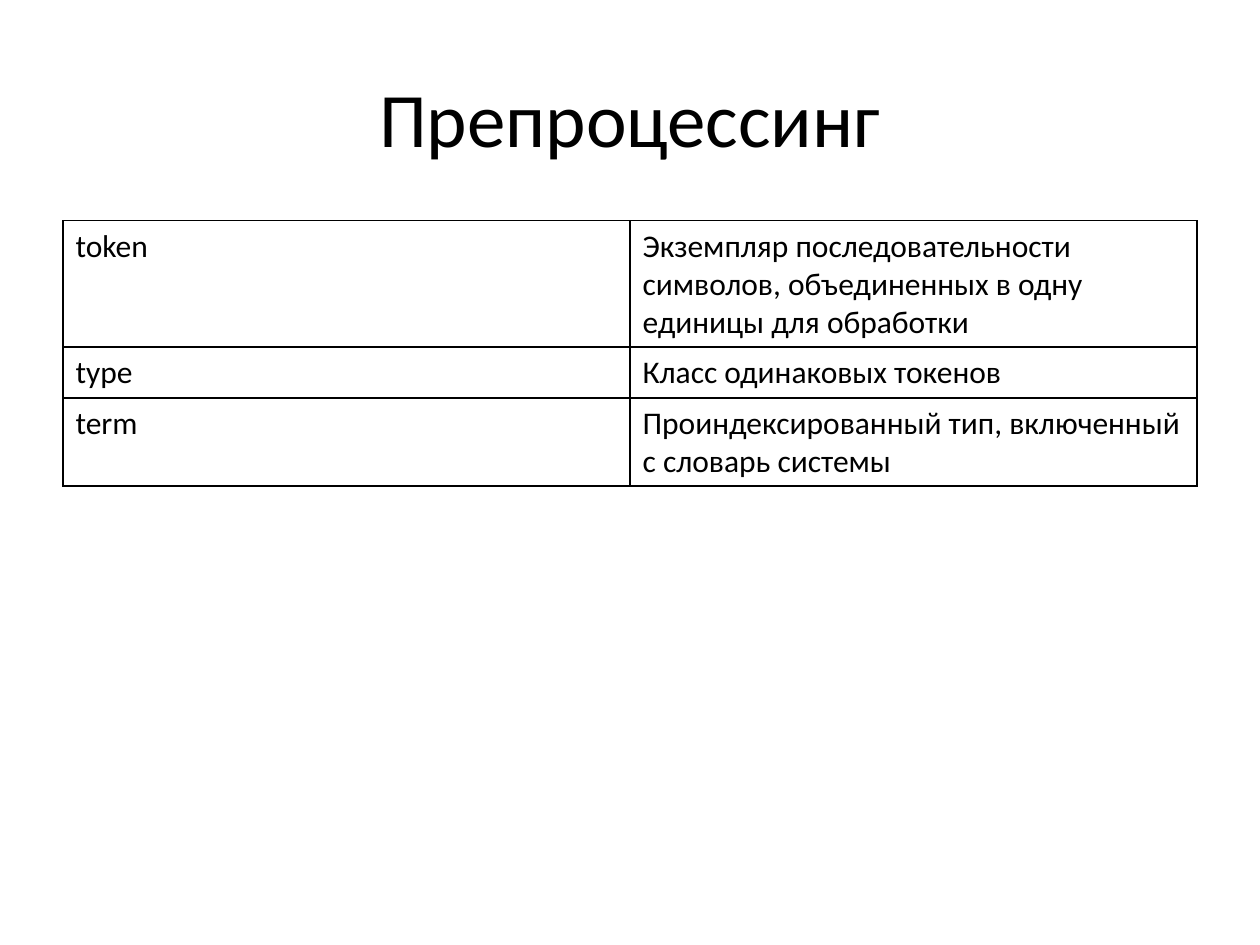
from dataclasses import dataclass

from lxml import etree
from pptx import Presentation
from pptx.dml.color import RGBColor
from pptx.enum import text
from pptx.oxml import ns
from pptx.util import Cm, Pt

HEADING = "Препроцессинг"
TERMS = [
    ("token", "Экземпляр последовательности символов, объединенных в одну единицы для обработки"),
    ("type", "Класс одинаковых токенов"),
    ("term", "Проиндексированный тип, включенный с словарь системы"),
]


@dataclass(frozen=True)
class Theme:
    font: str = "Calibri"
    ink: str = "000000"
    heading_size: int = 44
    body_size: int = 18
    border: int = 1


THEME = Theme()
WIDTH, HEIGHT = Cm(25.4), Cm(19.05)
MARGIN = Cm(1.27)
CONTENT_WIDTH = WIDTH - 2 * MARGIN
HEADING_TOP, HEADING_HEIGHT = Cm(0.76), Cm(3.18)
TABLE_TOP, ROW_HEIGHT = Cm(4.45), Cm(1.03)


def write(frame, wording, size):
    frame.word_wrap = True
    paragraph = frame.paragraphs[0]
    run = paragraph.add_run()
    run.text = wording
    for name, value in {"name": THEME.font, "size": Pt(size)}.items():
        setattr(run.font, name, value)
    run.font.color.rgb = RGBColor.from_string(THEME.ink)
    return paragraph


def outline(cell):
    properties = cell._tc.get_or_add_tcPr()
    for position, side in enumerate(("lnL", "lnR", "lnT", "lnB")):
        line = etree.Element(ns.qn(f"a:{side}"), w=str(Pt(THEME.border)))
        fill = etree.SubElement(line, ns.qn("a:solidFill"))
        etree.SubElement(fill, ns.qn("a:srgbClr"), val=THEME.ink)
        properties.insert(position, line)


def add_heading(slide):
    heading = slide.shapes.add_textbox(MARGIN, HEADING_TOP, CONTENT_WIDTH, HEADING_HEIGHT)
    heading.text_frame.vertical_anchor = text.MSO_ANCHOR.MIDDLE
    write(heading.text_frame, HEADING, THEME.heading_size).alignment = text.PP_ALIGN.CENTER


def add_glossary(slide):
    glossary = slide.shapes.add_table(
        len(TERMS), len(TERMS[0]), MARGIN, TABLE_TOP, CONTENT_WIDTH, ROW_HEIGHT * len(TERMS)
    ).table
    for name, value in {"first_row": False, "horz_banding": False}.items():
        setattr(glossary, name, value)
    for row, entry in enumerate(TERMS):
        for column, wording in enumerate(entry):
            cell = glossary.cell(row, column)
            cell.fill.background()
            outline(cell)
            write(cell.text_frame, wording, THEME.body_size)


def main():
    deck = Presentation()
    deck.slide_width, deck.slide_height = WIDTH, HEIGHT
    slide = deck.slides.add_slide(deck.slide_layouts[6])
    add_heading(slide)
    add_glossary(slide)
    deck.save("out.pptx")


if __name__ == "__main__":
    main()
